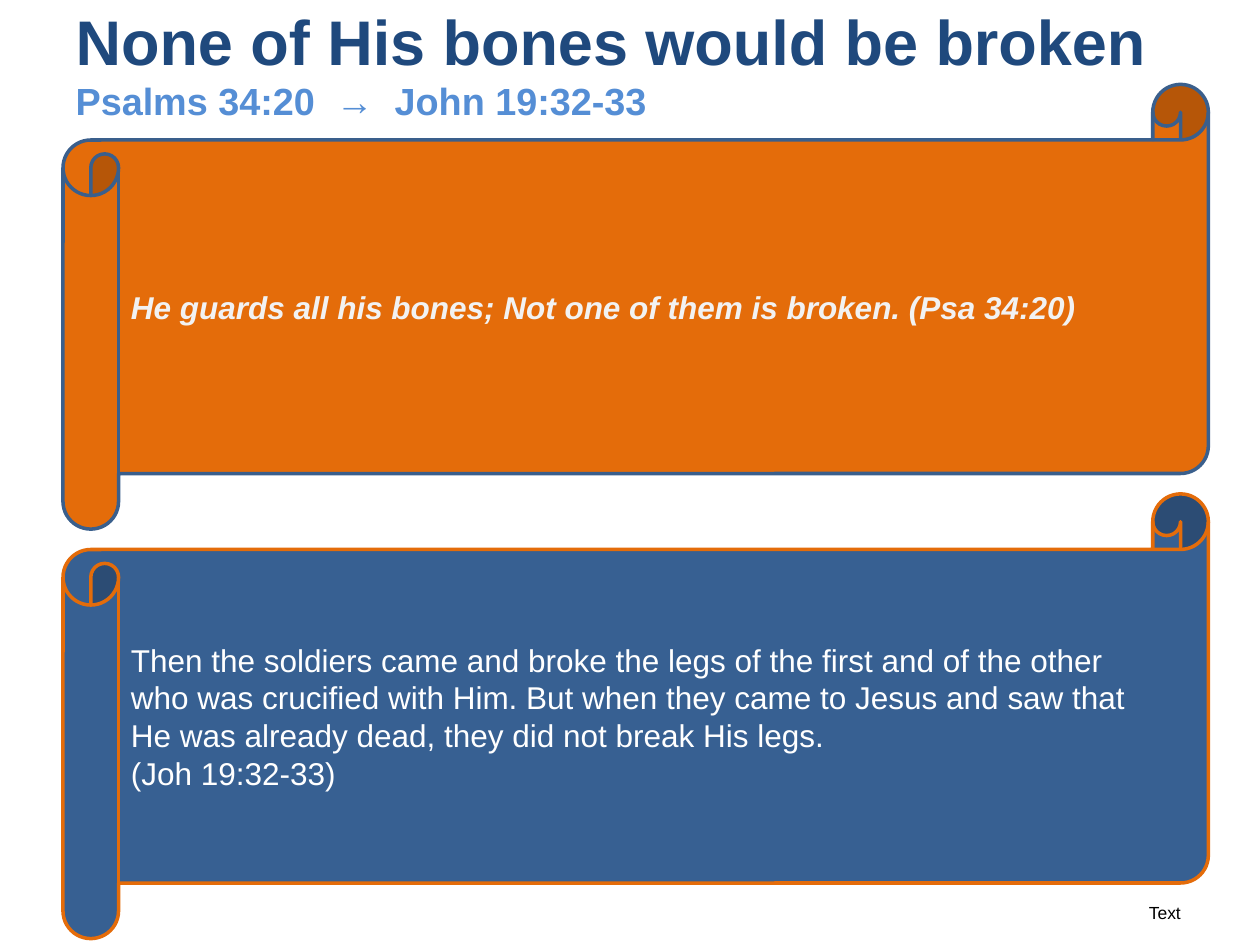
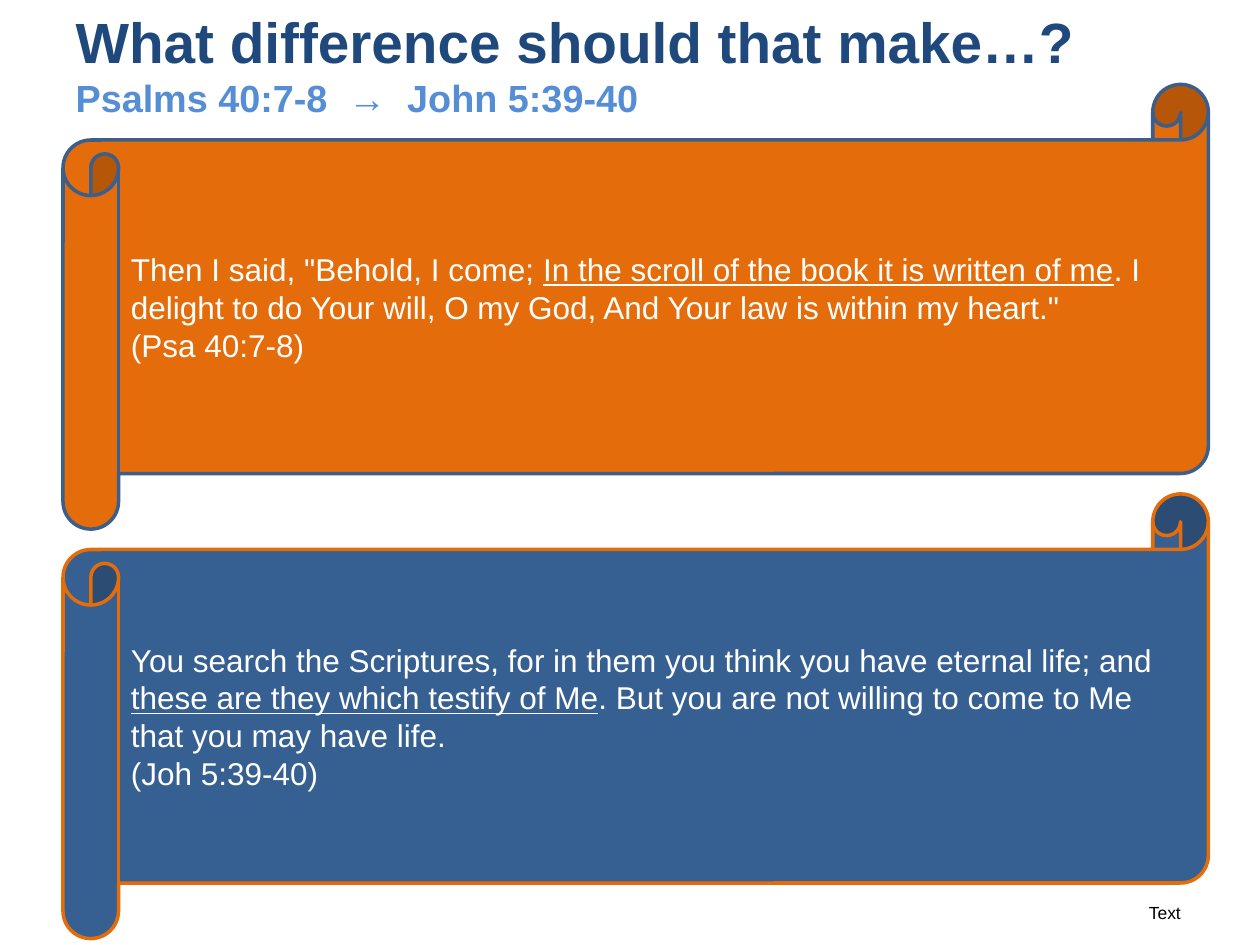
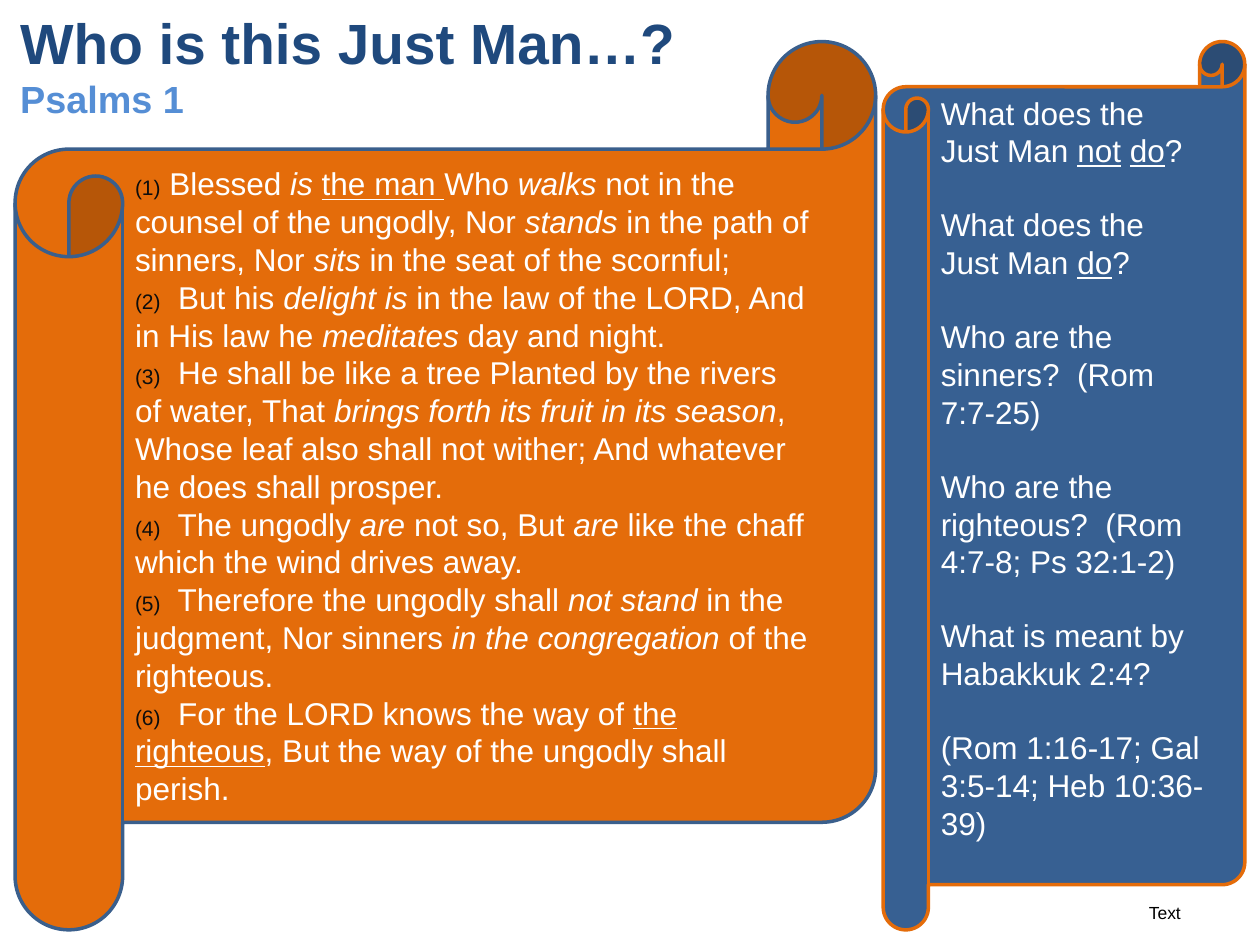
from copy import deepcopy

from pptx import Presentation
from pptx.dml.color import RGBColor
from pptx.enum.shapes import MSO_SHAPE
from pptx.enum.text import MSO_ANCHOR, MSO_AUTO_SIZE, PP_ALIGN
from pptx.util import Inches, Pt

FONT = "Arial"
NAVY, SKY, WHITE, PALE = "1F497D", "558ED5", "FFFFFF", "F2F2F2"
BLACK, NUMBER = "000000", "0D0D0D"
ORANGE_SCROLL = {"fill": "E46C0A", "line": "3A5F8C"}
BLUE_SCROLL = {"fill": "376092", "line": "E46C0A"}

NBSP = chr(160)
BODY_SIZE = 18
BODY_LINE = BODY_SIZE * 1.15
INSET = 0.05

# In the texts, *...* is italic and _..._ is underlined.
PASSAGES = [
    {
        "title": "None of His bones would be broken",
        "title_size": 36,
        "subtitle": "Psalms 34:20  →  John 19:32-33",
        "prophecy": ["He guards all his bones; Not one of them is broken. (Psa 34:20)"],
        "prophecy_format": {"color": PALE, "bold": True, "italic": True},
        "fulfilment": [
            "Then the soldiers came and broke the legs of the first and of the other "
            "who was crucified with Him. But when they came to Jesus and saw that He "
            "was already dead, they did not break His legs.",
            "(Joh 19:32-33)",
        ],
    },
    {
        "title": "What difference should that make…?",
        "title_size": 32.4,
        "subtitle": "Psalms 40:7-8  →  John 5:39-40",
        "prophecy": [
            'Then I said, "Behold, I come; _In the scroll of the book it is written '
            'of me_. I delight to do Your will, O my God, And Your law is within my heart."',
            "(Psa 40:7-8)",
        ],
        "prophecy_format": {},
        "fulfilment": [
            "You search the Scriptures, for in them you think you have eternal life; "
            "and _these are they which testify of Me_. But you are not willing to come "
            "to Me that you may have life.",
            "(Joh 5:39-40)",
        ],
    },
]

PSALM_VERSES = [
    "Blessed *is *_the man _Who *walks* not in the counsel of the ungodly, Nor "
    "*stands* in the path of sinners, Nor *sits* in the seat of the scornful;",
    "But his *delight is* in the law of the LORD, And in His law he *meditates* "
    "day and night.",
    "He shall be like a tree Planted by the rivers of water, That *brings forth its "
    "fruit in its season*, Whose leaf also shall not wither; And whatever he does "
    "shall prosper.",
    "The ungodly *are* not so, But *are* like the chaff which the wind drives away.",
    "Therefore the ungodly shall *not stand *in the judgment, Nor sinners *in the "
    "congregation *of the righteous.",
    "For the LORD knows the way of _the righteous_, But the way of the ungodly "
    "shall perish.",
]

QUESTIONS = [
    "What does the Just Man _not_ _do_?",
    "What does the Just Man _do_?",
    "Who are the sinners?  (Rom 7:7-25)",
    "Who are the righteous?  (Rom 4:7-8; Ps 32:1-2)",
    "What is meant by Habakkuk 2:4?",
    "(Rom 1:16-17; Gal 3:5-14; Heb 10:36-39)",
]


def rgb(value):
    return RGBColor.from_string(value)


def add_run(p, text, size=BODY_SIZE, color=WHITE, bold=False, italic=False, underline=False):
    r = p.add_run()
    r.text = text
    f = r.font
    f.name, f.size, f.color.rgb = FONT, Pt(size), rgb(color)
    f.bold, f.italic, f.underline = bold, italic, underline
    return r


def add_marked(p, text, italic=False, **fmt):
    """Add runs, reading *italic* and _underline_ marks."""
    for i, part in enumerate(text.split("*")):
        for j, piece in enumerate(part.split("_")):
            if piece:
                add_run(p, piece, italic=italic or i % 2 == 1, underline=j % 2 == 1, **fmt)


def add_paragraphs(tf, count):
    return [tf.paragraphs[0]] + [tf.add_paragraph() for _ in range(count - 1)]


def add_scroll(s, box, style):
    sp = s.shapes.add_shape(MSO_SHAPE.HORIZONTAL_SCROLL, *map(Inches, box))
    sp.shadow.inherit = False
    sp.fill.solid()
    sp.fill.fore_color.rgb = rgb(style["fill"])
    sp.line.color.rgb = rgb(style["line"])
    sp.line.width = Pt(2)
    tf = sp.text_frame
    tf.word_wrap = True
    tf.vertical_anchor = MSO_ANCHOR.MIDDLE
    return tf


def fill_scroll(tf, texts, gap=0, **fmt):
    paragraphs = add_paragraphs(tf, len(texts))
    for p, text in zip(paragraphs, texts):
        p.alignment = PP_ALIGN.LEFT
        add_marked(p, text, **fmt)
    for p in paragraphs[:-1]:
        p.space_after = Pt(gap)


def fill_verses(tf, verses):
    """Fill a scroll with verses, each led by its small number."""
    paragraphs = add_paragraphs(tf, len(verses))
    for n, (p, verse) in enumerate(zip(paragraphs, verses), 1):
        p.alignment = PP_ALIGN.LEFT
        add_run(p, f"({n})", size=12, color=NUMBER)
        lead = " " if n == 1 else NBSP + " "
        add_marked(p, lead + verse + NBSP)


def add_slide(prs, title, subtitle, title_size=32.4, left=0.5, top=0):
    s = prs.slides.add_slide(prs.slide_layouts[5])
    sp = s.shapes.title
    sp.left, sp.top, sp.width, sp.height = map(Inches, (left, top, 9, 1))
    tf = sp.text_frame
    tf.word_wrap = True
    tf.auto_size = MSO_AUTO_SIZE.NONE
    tf.vertical_anchor = MSO_ANCHOR.MIDDLE
    p = tf.paragraphs[0]
    p.alignment = PP_ALIGN.LEFT
    r = add_run(p, title, size=title_size, color=NAVY, bold=True)
    p.add_line_break()
    p._p[-1].append(deepcopy(r._r.rPr))  # the break keeps the title's size
    add_run(p, subtitle, size=21.6, color=SKY, bold=True)
    return s


def add_version_label(s):
    tf = s.shapes.add_textbox(*map(Inches, (9.02, 7.11, 0.56, 0.27))).text_frame
    tf.word_wrap = False
    tf.auto_size = MSO_AUTO_SIZE.SHAPE_TO_FIT_TEXT
    add_run(tf.paragraphs[0], "Text", size=10, color=BLACK)


def add_passage_slide(prs, passage):
    s = add_slide(prs, passage["title"], passage["subtitle"], passage["title_size"])
    left, top, width, height, step = 0.5, 0.67, 9.09, 3.53, 3.25
    rows = [
        ("prophecy", ORANGE_SCROLL, passage["prophecy_format"]),
        ("fulfilment", BLUE_SCROLL, {}),
    ]
    for i, (key, style, fmt) in enumerate(rows):
        tf = add_scroll(s, (left, top + i * step, width, height), style)
        fill_scroll(tf, passage[key], **fmt)
    add_version_label(s)


def add_psalm_slide(prs):
    s = add_slide(prs, "Who is this Just Man…?", "Psalms 1", left=0.06, top=0.01)
    top, height = 0.33, 7.05
    fill_verses(add_scroll(s, (0.12, top, 6.83, height), ORANGE_SCROLL), PSALM_VERSES)
    tf = add_scroll(s, (7.01, top, 2.87, height), BLUE_SCROLL)
    tf.margin_bottom = Inches(INSET) + Pt(BODY_LINE)
    fill_scroll(tf, QUESTIONS, gap=BODY_LINE)
    add_version_label(s)


def main():
    prs = Presentation()
    prs.slide_width, prs.slide_height = Inches(10), Inches(7.5)
    for passage in PASSAGES:
        add_passage_slide(prs, passage)
    add_psalm_slide(prs)
    prs.save("out.pptx")


if __name__ == "__main__":
    main()
